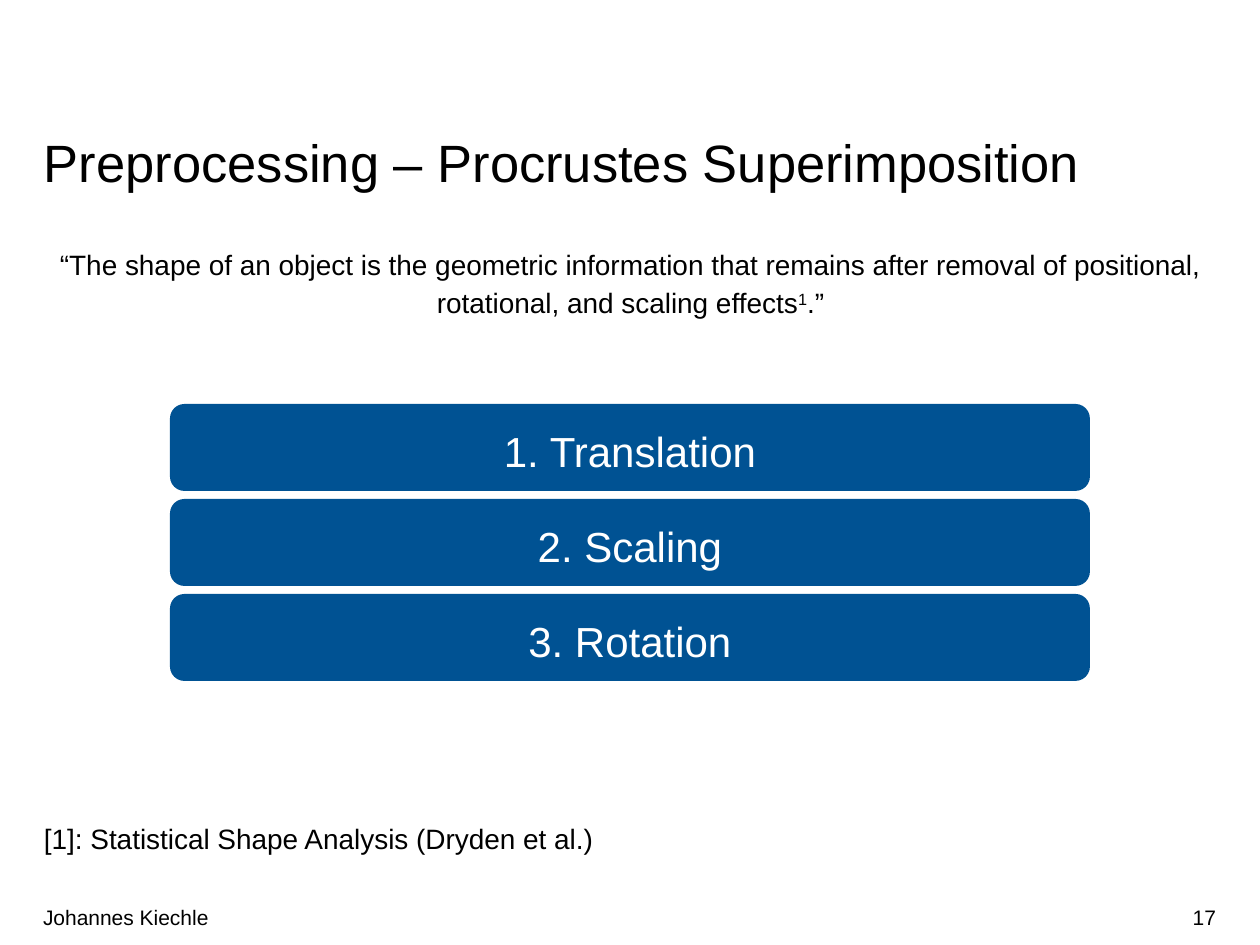
from pptx import Presentation
from pptx.dml.color import RGBColor
from pptx.enum.shapes import MSO_SHAPE
from pptx.enum.text import MSO_ANCHOR, PP_ALIGN
from pptx.util import Emu, Pt

SCALE = 914400 / 126
BLACK, WHITE, BLUE = "000000", "FFFFFF", "005293"


def px(count):
    """Turn pixels into EMU."""
    return Emu(round(count * SCALE))


def color(code):
    """Turn a hex string into a colour."""
    return RGBColor.from_string(code)


class Painter:
    """Hold the style and the current slide."""

    def __init__(self, slide, font="Arial", leading=1.14):
        """Keep the slide, font and line spacing."""
        self.slide, self.font, self.leading = slide, font, leading

    def fill(self, frame, runs, size, ink, align, leading):
        """Fill one paragraph from text and baseline pairs."""
        frame.word_wrap = True
        para = frame.paragraphs[0]
        para.alignment = align
        para.line_spacing = leading
        for text, base in runs:
            run = para.add_run()
            run.text = text
            run.font.name = self.font
            run.font.size = Pt(size)
            run.font.color.rgb = color(ink)
            if base:
                run.font._element.set("baseline", str(base * 1000))

    def text(self, box, runs, size, align=PP_ALIGN.LEFT, leading=None,
             anchor=MSO_ANCHOR.TOP):
        """Add a text box without margins."""
        frame = self.slide.shapes.add_textbox(*map(px, box)).text_frame
        frame.margin_left = frame.margin_right = 0
        frame.margin_top = frame.margin_bottom = 0
        frame.vertical_anchor = anchor
        self.fill(frame, runs, size, BLACK, align, leading or self.leading)

    def step(self, box, label):
        """Add a rounded bar with a centred label."""
        bar = self.slide.shapes.add_shape(
            MSO_SHAPE.ROUNDED_RECTANGLE, *map(px, box))
        bar.shadow.inherit = False
        bar.fill.solid()
        bar.fill.fore_color.rgb = color(BLUE)
        bar.line.fill.background()
        bar.text_frame.vertical_anchor = MSO_ANCHOR.MIDDLE
        self.fill(bar.text_frame, [(label, 0)], 24, WHITE,
                  PP_ALIGN.CENTER, self.leading)


def main():
    """Build the slide and save it."""
    deck = Presentation()
    deck.slide_width, deck.slide_height = px(1260), px(945)
    paint = Painter(deck.slides.add_slide(deck.slide_layouts[6]))

    paint.text((44, 137, 1173, 57),
               [("Preprocessing – Procrustes Superimposition", 0)],
               30, leading=Pt(32))
    quote = [
        ("“The shape of an object is the geometric information that remains "
         "after removal of positional, rotational, and scaling effects", 0),
        ("1", 30),
        (".”", 0),
    ]
    paint.text((44, 243, 1173, 80), quote, 16, PP_ALIGN.CENTER)

    for row, name in enumerate(("Translation", "Scaling", "Rotation")):
        paint.step((170, 404 + row * 95, 920, 87), f"{row + 1}. {name}")

    paint.text((44, 817, 1173, 40),
               [("[1]: Statistical Shape Analysis (Dryden et al.)", 0)], 16)
    paint.text((43, 892, 891, 50), [("Johannes Kiechle", 0)], 12,
               leading=1.0, anchor=MSO_ANCHOR.MIDDLE)
    paint.text((934, 892, 282, 50), [("17", 0)], 12, PP_ALIGN.RIGHT,
               leading=1.0, anchor=MSO_ANCHOR.MIDDLE)
    deck.save("out.pptx")


if __name__ == "__main__":
    main()
